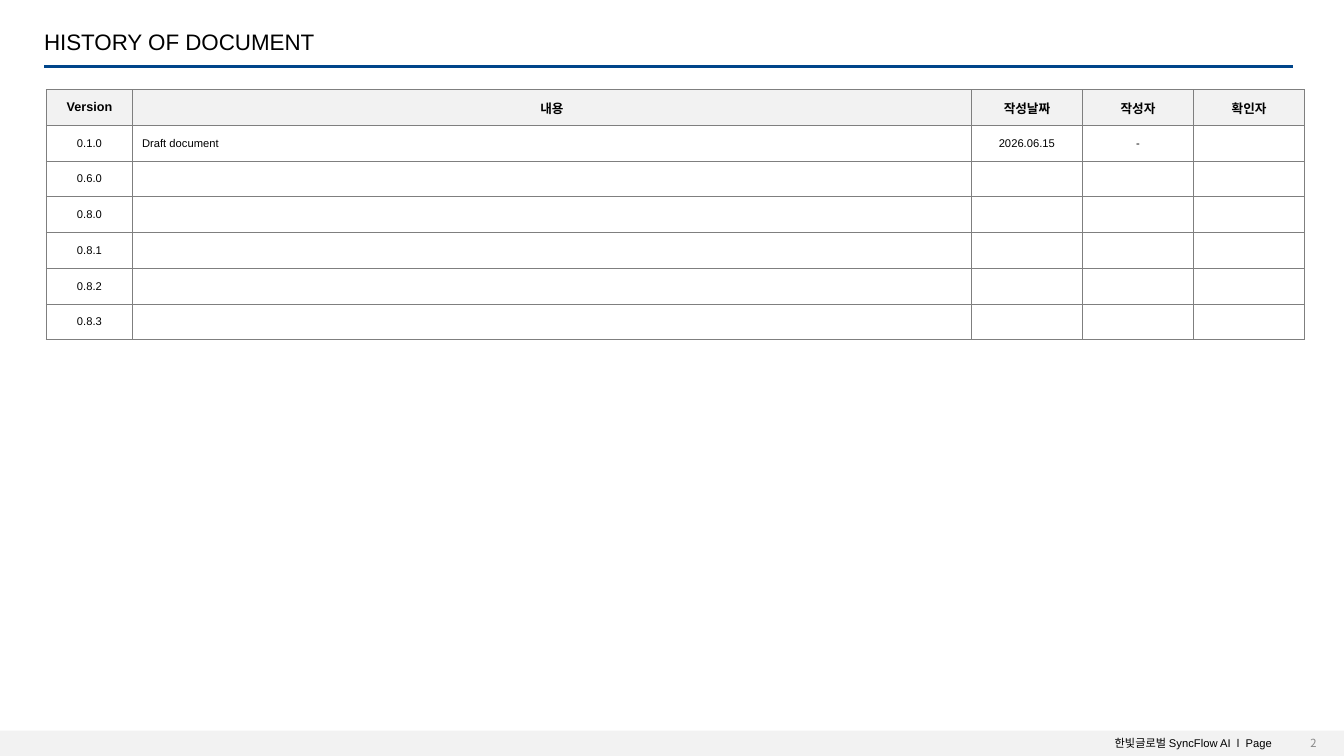
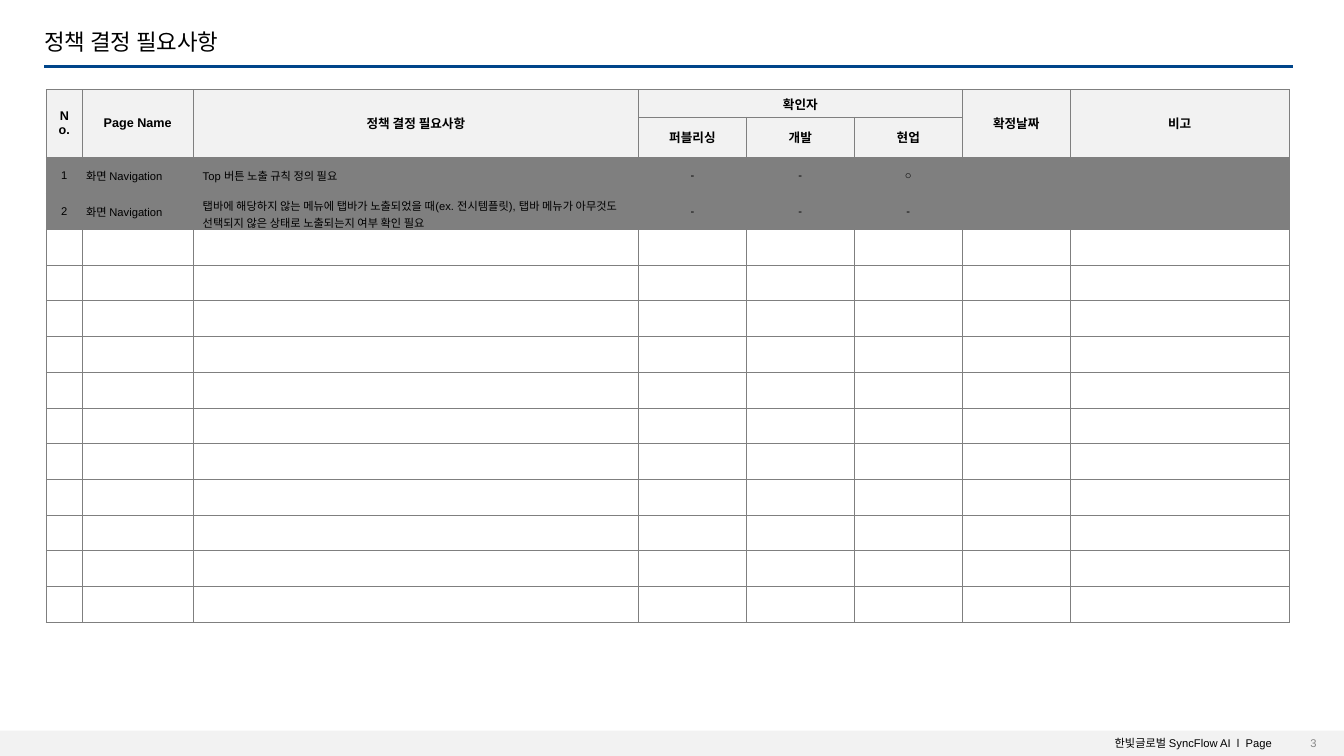
from lxml import etree
from pptx import Presentation
from pptx.dml.color import RGBColor
from pptx.enum.shapes import MSO_CONNECTOR, MSO_SHAPE
from pptx.enum.text import MSO_ANCHOR, PP_ALIGN
from pptx.oxml.ns import qn
from pptx.util import Cm, Pt

RECT, STRAIGHT = MSO_SHAPE.RECTANGLE, MSO_CONNECTOR.STRAIGHT
TOP, MIDDLE = MSO_ANCHOR.TOP, MSO_ANCHOR.MIDDLE
LEFT, CENTER, RIGHT = PP_ALIGN.LEFT, PP_ALIGN.CENTER, PP_ALIGN.RIGHT

BLACK = RGBColor(0x00, 0x00, 0x00)
WHITE = RGBColor(0xFF, 0xFF, 0xFF)
NAVY = RGBColor(0x00, 0x45, 0x8A)
PALE = RGBColor(0xF2, 0xF2, 0xF2)
GRAY = RGBColor(0x7F, 0x7F, 0x7F)
NUMBER_GRAY = RGBColor(0x88, 0x88, 0x88)

FONT = "Arial"
KOREAN_FONT = "Noto Sans CJK KR"
FOOTER = "한빛글로벌 SyncFlow AI  l  Page"
ROW_HEIGHT = 0.9


def add_text(s, text, box, size, align, anchor=MIDDLE, color=BLACK, font=FONT):
    tf = s.shapes.add_textbox(*[Cm(v) for v in box]).text_frame
    tf.word_wrap = True
    tf.vertical_anchor = anchor
    p = tf.paragraphs[0]
    p.text = text
    p.alignment = align
    p.font.size = Pt(size)
    p.font.name = font
    p.font.color.rgb = color
    return p


def add_borders(cell):
    tcPr = cell._tc.get_or_add_tcPr()
    for side in ("a:lnL", "a:lnR", "a:lnT", "a:lnB"):
        ln = etree.SubElement(tcPr, qn(side), w=str(Pt(0.75)))
        fill = etree.SubElement(ln, qn("a:solidFill"))
        etree.SubElement(fill, qn("a:srgbClr"), val=str(GRAY))


versions = ["0.6.0", "0.8.0", "0.8.1", "0.8.2", "0.8.3"]
history_rows = [
    ["Version", "내용", "작성날짜", "작성자", "확인자"],
    ["0.1.0", "Draft document", "2026.06.15", "-", ""],
] + [[v, "", "", "", ""] for v in versions]

policy_rows = [
    ["No.", "Page Name", "정책 결정 필요사항", "확인자", "", "", "확정날짜", "비고"],
    ["", "", "", "퍼블리싱", "개발", "현업", "", ""],
    ["1", "화면 Navigation", "Top 버튼 노출 규칙 정의 필요", "-", "-", "○", "", ""],
    ["2", "화면 Navigation",
     "탭바에 해당하지 않는 메뉴에 탭바가 노출되었을 때(ex. 전시템플릿), "
     "탭바 메뉴가 아무것도 선택되지 않은 상태로 노출되는지 여부 확인 필요",
     "-", "-", "-", "", ""],
] + [[""] * 8 for _ in range(11)]

pages = [
    dict(title="HISTORY OF DOCUMENT", number="2", number_font=KOREAN_FONT,
         rows=history_rows, widths=[2.17, 21.14] + [2.8] * 3,
         header_heights=[ROW_HEIGHT], merges=[], left_cols=[1],
         narrow_cols=[], closed_rows=[]),
    dict(title="정책 결정 필요사항", number="3", number_font=FONT,
         rows=policy_rows, widths=[0.9, 2.8, 11.22] + [2.72] * 4 + [5.52],
         header_heights=[0.7, 0.6],
         merges=[(0, c, 1, c) for c in (0, 1, 2, 6, 7)] + [(0, 3, 0, 5)],
         left_cols=[1, 2], narrow_cols=[1], closed_rows=[2, 3]),
]

prs = Presentation()
prs.slide_width = Cm(33.87)
prs.slide_height = Cm(19.05)

for page in pages:
    s = prs.slides.add_slide(prs.slide_layouts[6])

    band = s.shapes.add_shape(RECT, 0, Cm(18.41), prs.slide_width, Cm(0.64))
    band.shadow.inherit = False
    band.fill.solid()
    band.fill.fore_color.rgb = PALE
    band.line.fill.background()
    add_text(s, FOOTER, (25.4, 18.43, 6.91, 0.6), 8, RIGHT, anchor=TOP)

    rule = s.shapes.add_connector(STRAIGHT, Cm(1.11), Cm(1.68), Cm(32.58), Cm(1.68))
    rule.line.color.rgb = NAVY
    rule.line.width = Pt(2.25)
    etree.SubElement(rule._element.spPr, qn("a:effectLst"))

    title = add_text(s, page["title"], (0.86, 0.7, 31.42, 0.8), 16, LEFT)
    title.line_spacing = 0.9
    add_text(s, page["number"], (31.65, 18.54, 1.78, 0.38), 8, RIGHT,
             color=NUMBER_GRAY, font=page["number_font"])

    rows, widths = page["rows"], page["widths"]
    header_count = len(page["header_heights"])
    heights = page["header_heights"] + [ROW_HEIGHT] * (len(rows) - header_count)
    table = s.shapes.add_table(len(rows), len(widths), Cm(1.17), Cm(2.26),
                               Cm(sum(widths)), Cm(sum(heights))).table
    table.first_row = False
    table.horz_banding = False
    for column, width in zip(table.columns, widths):
        column.width = Cm(width)
    for row, height in zip(table.rows, heights):
        row.height = Cm(height)

    for r, values in enumerate(rows):
        is_header = r < header_count
        for c, value in enumerate(values):
            cell = table.cell(r, c)
            is_narrow = c in page["narrow_cols"] and not is_header
            cell.margin_left = cell.margin_right = Cm(0.1 if is_narrow else 0.24)
            cell.margin_top = cell.margin_bottom = Cm(0.1 if is_narrow else 0.12)
            cell.vertical_anchor = MIDDLE
            add_borders(cell)
            cell.fill.solid()
            cell.fill.fore_color.rgb = (
                PALE if is_header else GRAY if r in page["closed_rows"] else WHITE)
            p = cell.text_frame.paragraphs[0]
            if not value:
                p._p.get_or_add_endParaRPr().set("sz", "800")
                continue
            p.text = value
            p.alignment = LEFT if c in page["left_cols"] and not is_header else CENTER
            p.font.size = Pt(9 if is_header else 8)
            p.font.bold = is_header
            p.font.name = FONT
            p.font.color.rgb = BLACK

    for top, left, bottom, right in page["merges"]:
        table.cell(top, left).merge(table.cell(bottom, right))

prs.save("out.pptx")
